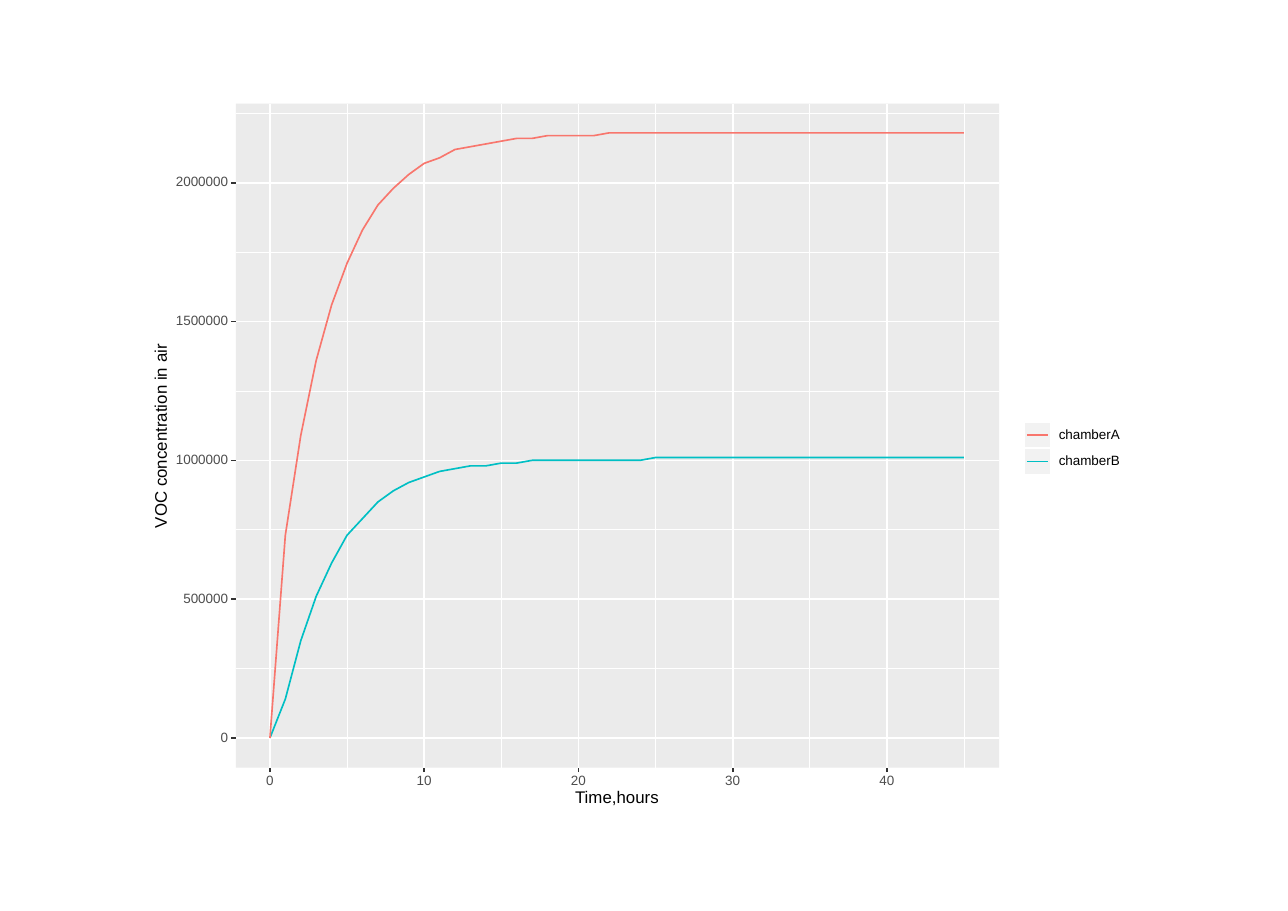
import pptx
import pptx.chart.data
import pptx.dml.color
import pptx.enum.chart
import pptx.enum.shapes
import pptx.enum.text
import pptx.oxml
import pptx.oxml.ns
import pptx.util

RGB = pptx.dml.color.RGBColor
WHITE = RGB(0xFF, 0xFF, 0xFF)
BLACK = RGB(0, 0, 0)
PANEL = RGB(0xEB, 0xEB, 0xEB)
KEY = RGB(0xF2, 0xF2, 0xF2)
LABEL = RGB(0x4D, 0x4D, 0x4D)
TICK = RGB(0x33, 0x33, 0x33)
RED = RGB(0xF8, 0x76, 0x6D)
TEAL = RGB(0x00, 0xBF, 0xC4)

Inches = pptx.util.Inches
Pt = pptx.util.Pt
ALIGN = pptx.enum.text.PP_ALIGN

# Panel edges and axis scales, in inches
LEFT, TOP, WIDE, HIGH = 2.14, 0.94, 6.93, 6.03
RIGHT, BASE = LEFT + WIDE, TOP + HIGH
X0, Y0 = 2.45, 6.7
HOUR, UNIT = 0.14, 2.52 / 1000000
END, PEAK = 45, 2250000
THIN, THICK = 0.53, 1.07

# Concentration in ten thousands, one value an hour; the last is held to END
DATA = {
    "chamberA": (RED, [
        0, 73, 109, 136, 156, 171, 183, 192, 198, 203, 207, 209, 212,
        213, 214, 215, 216, 216, 217, 217, 217, 217, 218]),
    "chamberB": (TEAL, [
        0, 14, 35, 51, 63, 73, 79, 85, 89, 92, 94, 96, 97,
        98, 98, 99, 99, 100, 100, 100, 100, 100, 100, 100, 100, 101]),
}


def to_x(hour):
    return X0 + hour * HOUR


def to_y(value):
    return Y0 - value * UNIT


class Page:
    def __init__(self, slide):
        self.shapes = slide.shapes
        self.font = "Arial"

    def rect(self, x, y, w, h, fill, line=None):
        kind = pptx.enum.shapes.MSO_SHAPE.RECTANGLE
        box = self.shapes.add_shape(kind, Inches(x), Inches(y), Inches(w), Inches(h))
        box.shadow.inherit = False
        box.fill.solid()
        box.fill.fore_color.rgb = fill
        if line is None:
            box.line.fill.background()
        else:
            box.line.color.rgb = line
            box.line.width = Pt(THICK)

    def line(self, x1, y1, x2, y2, color, width=THICK):
        kind = pptx.enum.shapes.MSO_CONNECTOR.STRAIGHT
        rule = self.shapes.add_connector(
            kind, Inches(x1), Inches(y1), Inches(x2), Inches(y2))
        rule.line.color.rgb = color
        rule.line.width = Pt(width)
        tag = pptx.oxml.ns.qn("a:effectLst")
        rule._element.spPr.append(rule._element.makeelement(tag, {}))

    def text(self, words, x, y, w, size=8.8, color=LABEL, align=ALIGN.CENTER, turn=0):
        """Place one line of text in a box whose middle height is y."""
        h = 0.2
        box = self.shapes.add_textbox(Inches(x), Inches(y - h / 2), Inches(w), Inches(h))
        box.rotation = turn
        frame = box.text_frame
        frame.word_wrap = True
        frame.vertical_anchor = pptx.enum.text.MSO_ANCHOR.MIDDLE
        frame.margin_left = frame.margin_right = 0
        frame.margin_top = frame.margin_bottom = 0
        para = frame.paragraphs[0]
        para.alignment = align
        para.line_spacing = Pt(size)
        run = para.add_run()
        run.text = words
        run.font.name = self.font
        run.font.size = Pt(size)
        run.font.color.rgb = color

    def grid(self, hours, values, width):
        for value in values:
            self.line(LEFT, to_y(value), RIGHT, to_y(value), WHITE, width)
        for hour in hours:
            self.line(to_x(hour), BASE, to_x(hour), TOP, WHITE, width)

    def curves(self):
        data = pptx.chart.data.XyChartData()
        for name, (_, values) in DATA.items():
            row = data.add_series(name)
            for hour in range(END + 1):
                row.add_data_point(hour, values[min(hour, len(values) - 1)] * 10000)
        kind = pptx.enum.chart.XL_CHART_TYPE.XY_SCATTER_LINES_NO_MARKERS
        chart = self.shapes.add_chart(
            kind, Inches(LEFT), Inches(TOP), Inches(WIDE), Inches(HIGH), data).chart
        chart.has_legend = False
        chart.has_title = False
        chart.font.name = self.font
        chart.font.size = Pt(8.8)
        chart.font.color.rgb = LABEL
        for axis, top in ((chart.category_axis, END), (chart.value_axis, PEAK)):
            axis.minimum_scale = 0
            axis.maximum_scale = top
            axis.has_major_gridlines = False
            axis.visible = False
        plot = chart.plots[0]
        plot.vary_by_categories = False
        for row, (color, _) in zip(plot.series, DATA.values()):
            row.smooth = False
            row.format.line.color.rgb = color
            row.format.line.width = Pt(THICK)
        self.fit(chart)

    def fit(self, chart):
        """Set the plot on the panel's scale and leave its ground clear."""
        root = chart._chartSpace
        names = pptx.oxml.ns.nsdecls("c", "a")
        spots = {"x": (X0 - LEFT) / WIDE, "y": (to_y(PEAK) - TOP) / HIGH,
                 "w": END * HOUR / WIDE, "h": PEAK * UNIT / HIGH}
        modes = "".join(f'<c:{key}Mode val="edge"/>' for key in "xy")
        sizes = "".join(f'<c:{key} val="{part:.4f}"/>' for key, part in spots.items())
        area = root.find(".//" + pptx.oxml.ns.qn("c:plotArea"))
        for old in area.findall(pptx.oxml.ns.qn("c:layout")):
            area.remove(old)
        area.insert(0, pptx.oxml.parse_xml(
            f'<c:layout {names}><c:manualLayout><c:layoutTarget val="inner"/>'
            f'{modes}{sizes}</c:manualLayout></c:layout>'))
        clear = f'<c:spPr {names}><a:noFill/><a:ln><a:noFill/></a:ln></c:spPr>'
        area.append(pptx.oxml.parse_xml(clear))
        root.find(pptx.oxml.ns.qn("c:chart")).addnext(pptx.oxml.parse_xml(clear))

    def axes(self, hours, values):
        for value in values:
            y = to_y(value)
            self.text(str(value), 1.47, y, 0.6, align=ALIGN.RIGHT)
            self.line(LEFT - 0.04, y, LEFT, y, TICK)
        for hour in hours:
            x = to_x(hour)
            self.line(x, BASE + 0.04, x, BASE, TICK)
            self.text(str(hour), x - 0.2, 7.09, 0.4)
        self.text("Time,hours", 4.6, 7.25, 2, size=11, color=BLACK)
        self.text("VOC concentration in air", 0.47, 3.96, 2, size=11, color=BLACK, turn=270)

    def legend(self):
        self.rect(9.22, 3.53, 1.06, 0.86, WHITE)
        side = 0.24
        for i, (name, (color, _)) in enumerate(DATA.items()):
            top = 3.83 + i * side
            mid = top + side / 2
            self.rect(9.3, top, side, side, KEY, WHITE)
            self.line(9.32, mid, 9.51, mid, color)
            self.text(name, 9.61, mid, 0.65, color=BLACK, align=ALIGN.LEFT)


def main():
    deck = pptx.Presentation()
    deck.slide_width = Inches(11.69)
    deck.slide_height = Inches(8.27)
    page = Page(deck.slides.add_slide(deck.slide_layouts[6]))
    hours = range(0, END, 10)
    values = range(0, PEAK, 500000)
    page.rect(1.34, 0.86, 9.02, 6.54, WHITE, WHITE)
    page.rect(LEFT, TOP, WIDE, HIGH, PANEL)
    page.grid(range(5, END + 1, 10), range(250000, PEAK + 1, 500000), THIN)
    page.grid(hours, values, THICK)
    page.curves()
    page.axes(hours, values)
    page.legend()
    deck.save("out.pptx")


if __name__ == "__main__":
    main()
